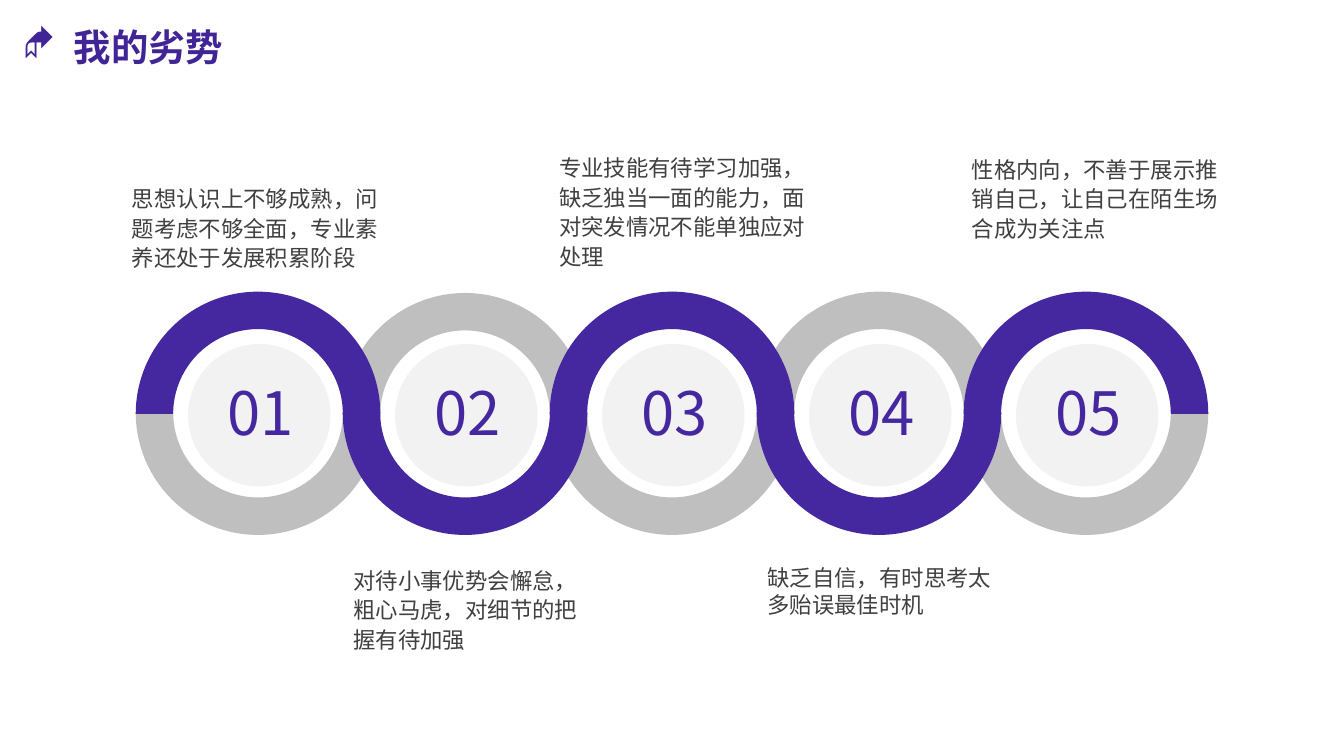
import pptx
import pptx.util
import pptx.dml.color
import pptx.enum.shapes
import pptx.enum.text
import lxml.etree

Inches, Pt = pptx.util.Inches, pptx.util.Pt
MSO_SHAPE = pptx.enum.shapes.MSO_SHAPE
PP_ALIGN = pptx.enum.text.PP_ALIGN
MSO_ANCHOR = pptx.enum.text.MSO_ANCHOR
FONT = "Noto Sans CJK SC"
PURPLE, GRAY, DISC, BODY, TITLE = "45279F", "BFBFBF", "F2F2F2", "404040", "412597"


def add_filled(kind, x, y, size, color):
    sp = s.shapes.add_shape(kind, Inches(x), Inches(y), Inches(size), Inches(size))
    sp.shadow.inherit = False
    sp.fill.solid()
    sp.fill.fore_color.rgb = pptx.dml.color.RGBColor.from_string(color)
    sp.line.fill.background()
    return sp


def write(sp, text, color, frame, para, font):
    tf = sp.text_frame
    p = tf.paragraphs[0]
    r = p.add_run()
    r.text = text
    for obj, values in ((tf, frame), (p, para), (r.font, font)):
        for name, value in values.items():
            setattr(obj, name, value)
    r.font.name = FONT
    r.font.color.rgb = pptx.dml.color.RGBColor.from_string(color)
    ea = lxml.etree.SubElement(r.font._element, pptx.oxml.ns.qn("a:ea"))
    ea.set("typeface", FONT)
    return p


prs = pptx.Presentation()
prs.slide_width = Inches(10)
prs.slide_height = prs.slide_width * 9 // 16
s = prs.slides.add_slide(prs.slide_layouts[6])

left, pitch, ring, disc = 1.01, 1.54, 1.82, 1.06
for color in (GRAY, PURPLE):
    for i in range(5):
        upper = (i % 2 == 0) == (color == PURPLE)
        y = 2.18 if i == 1 and upper else 2.17 if upper else 2.16
        sp = add_filled(MSO_SHAPE.BLOCK_ARC, left + i * pitch, y, ring, color)
        sp.rotation = 0 if upper else 180
        for n, value in enumerate((108, 0, 0.153)):
            sp.adjustments[n] = value

disc_frame = {
    "margin_left": Inches(0.04), "margin_right": Inches(0.02),
    "margin_top": Inches(0.04), "margin_bottom": Inches(0.02),
    "word_wrap": True, "vertical_anchor": MSO_ANCHOR.MIDDLE,
}
for i in range(5):
    sp = add_filled(MSO_SHAPE.OVAL, left + 0.39 + i * pitch, 2.56, disc, DISC)
    write(sp, f"{i + 1:02}", PURPLE, disc_frame,
          {"alignment": PP_ALIGN.CENTER, "line_spacing": 0.9}, {"size": Pt(32)})

note_frame = {
    "margin_left": Inches(0.07), "margin_right": Inches(0.07),
    "margin_top": Inches(0.04), "margin_bottom": Inches(0.04),
    "word_wrap": True,
}
notes = [
    (0.91, 1.32, 2.02, 0.74, 1.1, "思想认识上不够成熟，问题考虑不够全面，专业素养还处于发展积累阶段"),
    (2.56, 4.16, 1.82, 0.74, 1.1, "对待小事优势会懈怠，粗心马虎，对细节的把握有待加强"),
    (4.09, 1.09, 2.02, 0.96, 1.1, "专业技能有待学习加强，缺乏独当一面的能力，面对突发情况不能单独应对处理"),
    (5.64, 4.16, 1.82, 0.48, 1.0, "缺乏自信，有时思考太多贻误最佳时机"),
    (7.16, 1.10, 2.02, 0.74, 1.1, "性格内向，不善于展示推销自己，让自己在陌生场合成为关注点"),
]
for x, y, w, h, spacing, text in notes:
    sp = s.shapes.add_textbox(Inches(x), Inches(y), Inches(w), Inches(h))
    write(sp, text, BODY, note_frame, {"line_spacing": spacing}, {"size": Pt(12)})

sp = s.shapes.add_textbox(Inches(0.07), Inches(0.13), Inches(4.17), Inches(0.44))
p = write(sp, "我的劣势", TITLE, {"word_wrap": True}, {}, {"size": Pt(20), "bold": True})
pPr = p._p.get_or_add_pPr()
pPr.set("marL", str(Inches(0.38)))
pPr.set("indent", str(-Inches(0.38)))
lxml.etree.SubElement(pPr, pptx.oxml.ns.qn("a:buFont")).set("typeface", "Wingdings")
lxml.etree.SubElement(pPr, pptx.oxml.ns.qn("a:buChar")).set("char", "◆")

prs.save("out.pptx")
